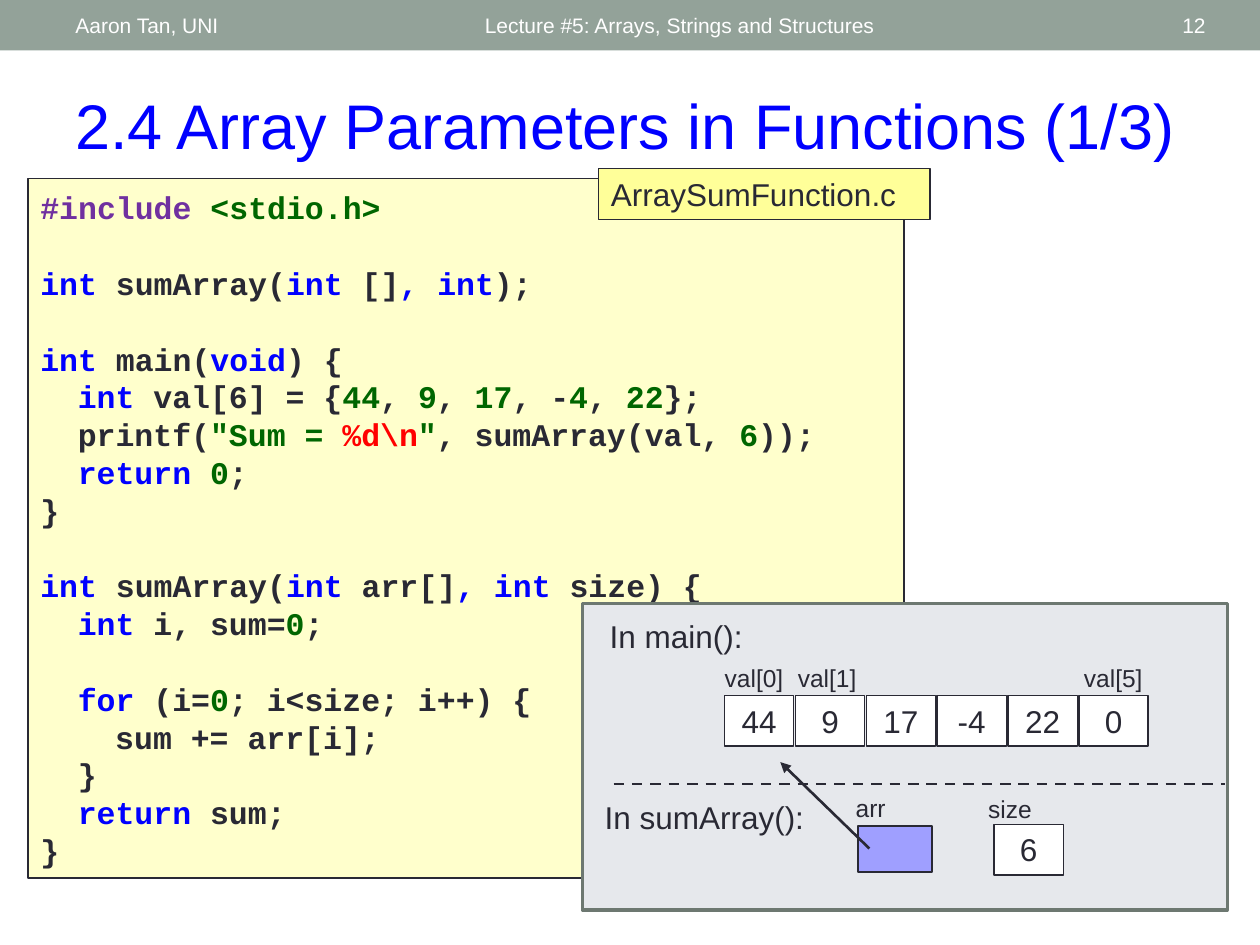
"""Build the lecture slide on passing arrays to functions."""
from lxml import etree
from pptx import Presentation
from pptx.dml.color import RGBColor
from pptx.enum.dml import MSO_LINE
from pptx.enum.shapes import MSO_CONNECTOR, MSO_SHAPE
from pptx.enum.text import MSO_ANCHOR, PP_ALIGN
from pptx.oxml.ns import qn
from pptx.util import Pt

RECT, STRAIGHT, DASH = MSO_SHAPE.RECTANGLE, MSO_CONNECTOR.STRAIGHT, MSO_LINE.DASH
LEFT, CENTER, RIGHT = PP_ALIGN.LEFT, PP_ALIGN.CENTER, PP_ALIGN.RIGHT
TOP, MIDDLE = MSO_ANCHOR.TOP, MSO_ANCHOR.MIDDLE

INK, WHITE, BLUE, GREEN = "292934", "FFFFFF", "0000FF", "006600"
PLAIN, KEYWORD, LITERAL, DIRECTIVE, ESCAPE = INK, BLUE, GREEN, "7030A0", "FF0000"
LINE_HEIGHT, INDENT = 21.6, 21.4

HEADER = [
    ("Aaron Tan, UNI", 36, 228, LEFT),
    ("Lecture #5: Arrays, Strings and Structures", 270, 324, LEFT),
    ("12", 628, 68, RIGHT),
]
TITLE = "2.4 Array Parameters in Functions (1/3)"
FILE_NAME = "ArraySumFunction.c"

# Each code line: indent level, blank lines above, coloured runs
CODE = [
    (0, 0, [("#include ", DIRECTIVE), ("<stdio.h>", LITERAL)]),
    (0, 1, [("int ", KEYWORD), ("sumArray(", PLAIN), ("int ", KEYWORD), ("[]", PLAIN),
            (", int", KEYWORD), (");", PLAIN)]),
    (0, 1, [("int", KEYWORD), (" main(", PLAIN), ("void", KEYWORD), (") {", PLAIN)]),
    (1, 0, [("int ", KEYWORD), ("val[6] = {", PLAIN), ("44", LITERAL), (", ", PLAIN),
            ("9", LITERAL), (", ", PLAIN), ("17", LITERAL), (", -", PLAIN),
            ("4", LITERAL), (", ", PLAIN), ("22", LITERAL), ("};", PLAIN)]),
    (1, 0, [("printf(", PLAIN), ('"Sum = ', LITERAL), ("%d\\n", ESCAPE), ('"', LITERAL),
            (", sumArray(val, ", PLAIN), ("6", LITERAL), ("));", PLAIN)]),
    (1, 0, [("return ", KEYWORD), ("0", LITERAL), (";", PLAIN)]),
    (0, 0, [("}", PLAIN)]),
    (0, 1, [("int ", KEYWORD), ("sumArray(", PLAIN), ("int ", KEYWORD), ("arr[]", PLAIN),
            (", int", KEYWORD), (" size) {", PLAIN)]),
    (1, 0, [("int ", KEYWORD), ("i, sum=", PLAIN), ("0", LITERAL), (";", PLAIN)]),
    (1, 1, [("for", KEYWORD), (" (i=", PLAIN), ("0", LITERAL),
            ("; i<size; i++) {", PLAIN)]),
    (2, 0, [("sum += arr[i];", PLAIN)]),
    (1, 0, [("}", PLAIN)]),
    (1, 0, [("return", KEYWORD), (" sum;", PLAIN)]),
    (0, 0, [("}", PLAIN)]),
]
VALUES = ["44", "9", "17", "-4", "22", "0"]
SCOPES = [("In main():", 341.3, 349.2, 101.5), ("In sumArray():", 338.4, 452.2, 130.3)]
LABELS = [
    ("val[0]", 404.6, 375.1, 52.6),
    ("val[1]", 447.8, 375.1, 49.7),
    ("val[5]", 607.7, 375.1, 56.9),
    ("arr", 478.1, 449.6, 38.9),
    ("size", 550.8, 450, 52.6),
]


def rgb(colour):
    return RGBColor.from_string(colour)


def style(run, size, colour, font="Arial", bold=False):
    run.font.size, run.font.name, run.font.bold = Pt(size), font, bold
    run.font.color.rgb = rgb(colour)


def write(shape, text, size, colour=INK, align=LEFT, anchor=TOP):
    frame = shape.text_frame
    frame.word_wrap, frame.vertical_anchor = True, anchor
    frame.text = text
    frame.paragraphs[0].alignment = align
    style(frame.paragraphs[0].runs[0], size, colour)


def add_text(slide, box, *args, **kwargs):
    write(slide.shapes.add_textbox(*map(Pt, box)), *args, **kwargs)


def add_box(slide, box, fill, line=INK, weight=0.75):
    shape = slide.shapes.add_shape(RECT, *map(Pt, box))
    shape.shadow.inherit = False
    shape.fill.solid()
    shape.fill.fore_color.rgb = rgb(fill)
    if line:
        shape.line.color.rgb, shape.line.width = rgb(line), Pt(weight)
    else:
        shape.line.fill.background()
    return shape


def add_line(slide, ends):
    connector = slide.shapes.add_connector(STRAIGHT, *map(Pt, ends))
    connector.line.color.rgb, connector.line.width = rgb(INK), Pt(1.5)
    etree.SubElement(connector._element.spPr, qn("a:effectLst"))
    return connector


def write_code(shape):
    frame = shape.text_frame
    frame.word_wrap, frame.vertical_anchor = True, TOP
    frame.margin_top = Pt(5.4)
    for number, (level, blanks, runs) in enumerate(CODE):
        line = frame.add_paragraph() if number else frame.paragraphs[0]
        line.alignment, line.line_spacing = LEFT, Pt(LINE_HEIGHT)
        line.space_before = Pt(blanks * LINE_HEIGHT)
        line._p.get_or_add_pPr().set("marL", str(Pt(level * INDENT)))
        for text, colour in runs:
            run = line.add_run()
            run.text = text
            style(run, 18, colour, "Courier New", True)


def main():
    deck = Presentation()
    deck.slide_width, deck.slide_height = Pt(720), Pt(540)
    slide = deck.slides.add_slide(deck.slide_layouts[6])

    add_box(slide, (0, 0, 720, 28.8), "93A299", None)
    for text, left, width, align in HEADER:
        add_text(slide, (left, 1.4, width, 26), text, 12, WHITE, align, MIDDLE)
    add_text(slide, (36, 46, 648, 51), TITLE, 36, BLUE)

    write_code(add_box(slide, (16, 102.2, 500.6, 399.6), "FFFFCC"))
    write(add_box(slide, (342, 96.2, 189.4, 29.2), "FFFF99"), FILE_NAME, 18)

    add_box(slide, (332.8, 344.9, 368.6, 175), "E6E8EC", "6D7871", 2.08)
    for text, left, top, width in SCOPES:
        add_text(slide, (left, top, width, 29), text, 18)
    for text, left, top, width in LABELS:
        add_text(slide, (left, top, width, 24.2), text, 14, align=CENTER)
    cells = [(value, 414 + 40.5 * i, 397.4) for i, value in enumerate(VALUES)]
    for value, left, top in cells + [("6", 568, 471)]:
        write(add_box(slide, (left, top, 39.6, 29), WHITE), value, 18, align=CENTER)

    add_box(slide, (490.3, 471.9, 42.5, 26.6), "9F9FFF", weight=1)
    pointer = add_line(slide, (496.8, 484.9, 445.9, 435.5))
    etree.SubElement(pointer.line._get_or_add_ln(), qn("a:tailEnd"), type="triangle")
    add_line(slide, (350.6, 448, 700, 448)).line.dash_style = DASH

    deck.save("out.pptx")


if __name__ == "__main__":
    main()
